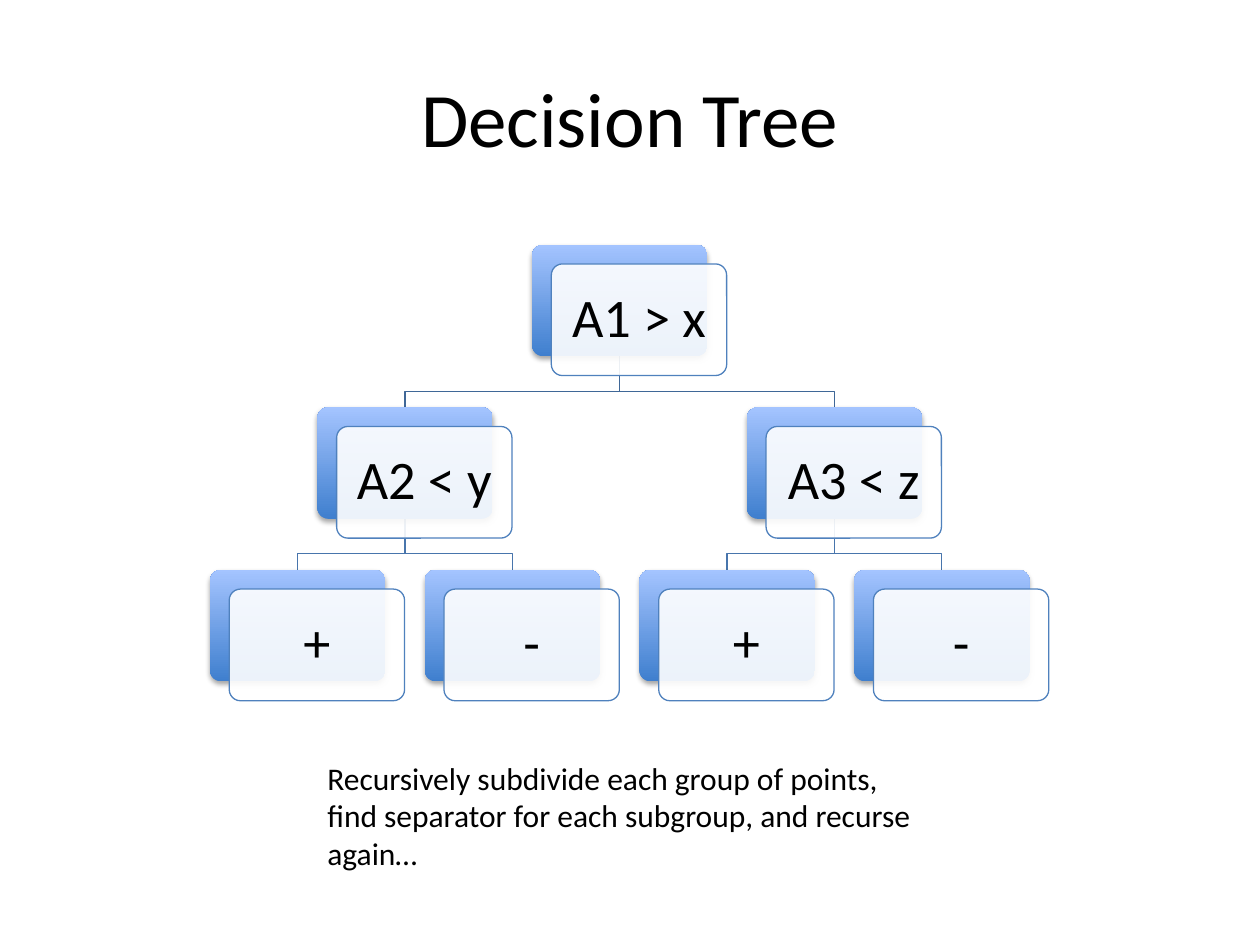
from collections import namedtuple

from lxml import etree
from pptx import Presentation
from pptx.dml.color import RGBColor
from pptx.enum.shapes import MSO_SHAPE
from pptx.enum.text import MSO_ANCHOR, PP_ALIGN
from pptx.oxml.ns import qn
from pptx.util import Pt

ROUNDED = MSO_SHAPE.ROUNDED_RECTANGLE
MIDDLE, TOP = MSO_ANCHOR.MIDDLE, MSO_ANCHOR.TOP
CENTER, LEFT = PP_ALIGN.CENTER, PP_ALIGN.LEFT
TITLE_ONLY = 5

TREE_LEFT, TREE_TOP = 120, 139.8
COLUMN_STEP, LEVEL_STEP = 122.7, 92.9
NODE_WIDTH, NODE_HEIGHT = 100.2, 63.8
FRONT_OFFSET = 11
BEND_RISE = 9.2
BRANCH_COLORS = ["3F6797", "4875AC"]

Node = namedtuple("Node", "label column level parent")
NODES = [
    Node("A1 > x", 1.5, 0, None),
    Node("A2 < y", 0.5, 1, 0),
    Node("+", 0, 2, 1),
    Node("-", 1, 2, 1),
    Node("A3 < z", 2.5, 1, 0),
    Node("+", 2, 2, 4),
    Node("-", 3, 2, 4),
]


def color(value):
    return RGBColor.from_string(value)


def corner(node):
    """Left and top of the node's back card, in points."""
    return TREE_LEFT + node.column * COLUMN_STEP, TREE_TOP + node.level * LEVEL_STEP


class SlideBuilder:
    font = "Calibri"
    text_color = "000000"
    outline = "4F81BD"
    gradient = ("3F7FCE", "A4C4FF")
    line_width = 0.75

    def __init__(self, slide):
        self.slide = slide

    def fill_text(self, shape, text, size, alignment, anchor, spacing=None):
        frame = shape.text_frame
        frame.word_wrap = True
        frame.vertical_anchor = anchor
        paragraph = frame.paragraphs[0]
        paragraph.alignment = alignment
        paragraph.line_spacing = spacing
        run = paragraph.add_run()
        run.text = text
        run.font.name = self.font
        run.font.size = Pt(size)
        run.font.color.rgb = color(self.text_color)

    def title(self, text, left, top, width, height):
        shape = self.slide.shapes.title
        shape.left, shape.top = Pt(left), Pt(top)
        shape.width, shape.height = Pt(width), Pt(height)
        self.fill_text(shape, text, 44, CENTER, MIDDLE)

    def text(self, text, left, top, width, height):
        shape = self.slide.shapes.add_textbox(Pt(left), Pt(top), Pt(width), Pt(height))
        self.fill_text(shape, text, 18, LEFT, TOP)

    def branch(self, parent, child):
        parent_left, parent_top = corner(parent)
        child_left, child_top = corner(child)
        start_x = parent_left + NODE_WIDTH / 2
        end_x = child_left + NODE_WIDTH / 2
        bend = child_top - BEND_RISE
        builder = self.slide.shapes.build_freeform(
            Pt(start_x), Pt(parent_top + NODE_HEIGHT))
        points = [(start_x, bend), (end_x, bend), (end_x, child_top)]
        builder.add_line_segments([(Pt(x), Pt(y)) for x, y in points], close=False)
        shape = builder.convert_to_shape()
        shape.shadow.inherit = False
        shape.fill.background()
        shape.line.color.rgb = color(BRANCH_COLORS[parent.level])
        shape.line.width = Pt(self.line_width)

    def card(self, left, top):
        shape = self.slide.shapes.add_shape(
            ROUNDED, Pt(left), Pt(top), Pt(NODE_WIDTH), Pt(NODE_HEIGHT))
        shape.adjustments[0] = 0.1
        shape.shadow.inherit = False
        return shape

    def back_card(self, left, top):
        shape = self.card(left, top)
        shape.line.fill.background()
        shape.fill.gradient()
        shape.fill.gradient_angle = 90
        for stop, value in zip(shape.fill.gradient_stops, self.gradient):
            stop.color.rgb = color(value)
        effects = shape.element.spPr.find(qn("a:effectLst"))
        shadow = etree.SubElement(
            effects, qn("a:outerShdw"), blurRad=str(Pt(3.1)), dist=str(Pt(1.8)),
            dir="5400000", rotWithShape="0")
        black = etree.SubElement(shadow, qn("a:srgbClr"), val="000000")
        etree.SubElement(black, qn("a:alpha"), val="35000")

    def front_card(self, label, left, top):
        shape = self.card(left, top)
        shape.fill.solid()
        shape.fill.fore_color.rgb = color("FFFFFF")
        white = shape.element.spPr.find(qn("a:solidFill"))[0]
        etree.SubElement(white, qn("a:alpha"), val="90000")
        shape.line.color.rgb = color(self.outline)
        shape.line.width = Pt(self.line_width)
        frame = shape.text_frame
        frame.margin_left = frame.margin_right = Pt(4)
        self.fill_text(shape, label, 31, CENTER, MIDDLE, 0.9)

    def node(self, node):
        left, top = corner(node)
        self.back_card(left, top)
        self.front_card(node.label, left + FRONT_OFFSET, top + FRONT_OFFSET)


def main():
    presentation = Presentation()
    presentation.slide_width, presentation.slide_height = Pt(720), Pt(540)
    slide = presentation.slides.add_slide(presentation.slide_layouts[TITLE_ONLY])
    builder = SlideBuilder(slide)

    builder.title("Decision Tree", 36, 21.6, 648, 90)
    for node in NODES:
        if node.parent is not None:
            builder.branch(NODES[node.parent], node)
    for node in NODES:
        builder.node(node)
    builder.text(
        "Recursively subdivide each group of points, find separator for each "
        "subgroup, and recurse again…", 180, 430, 360, 72.7)

    presentation.save("out.pptx")


if __name__ == "__main__":
    main()
